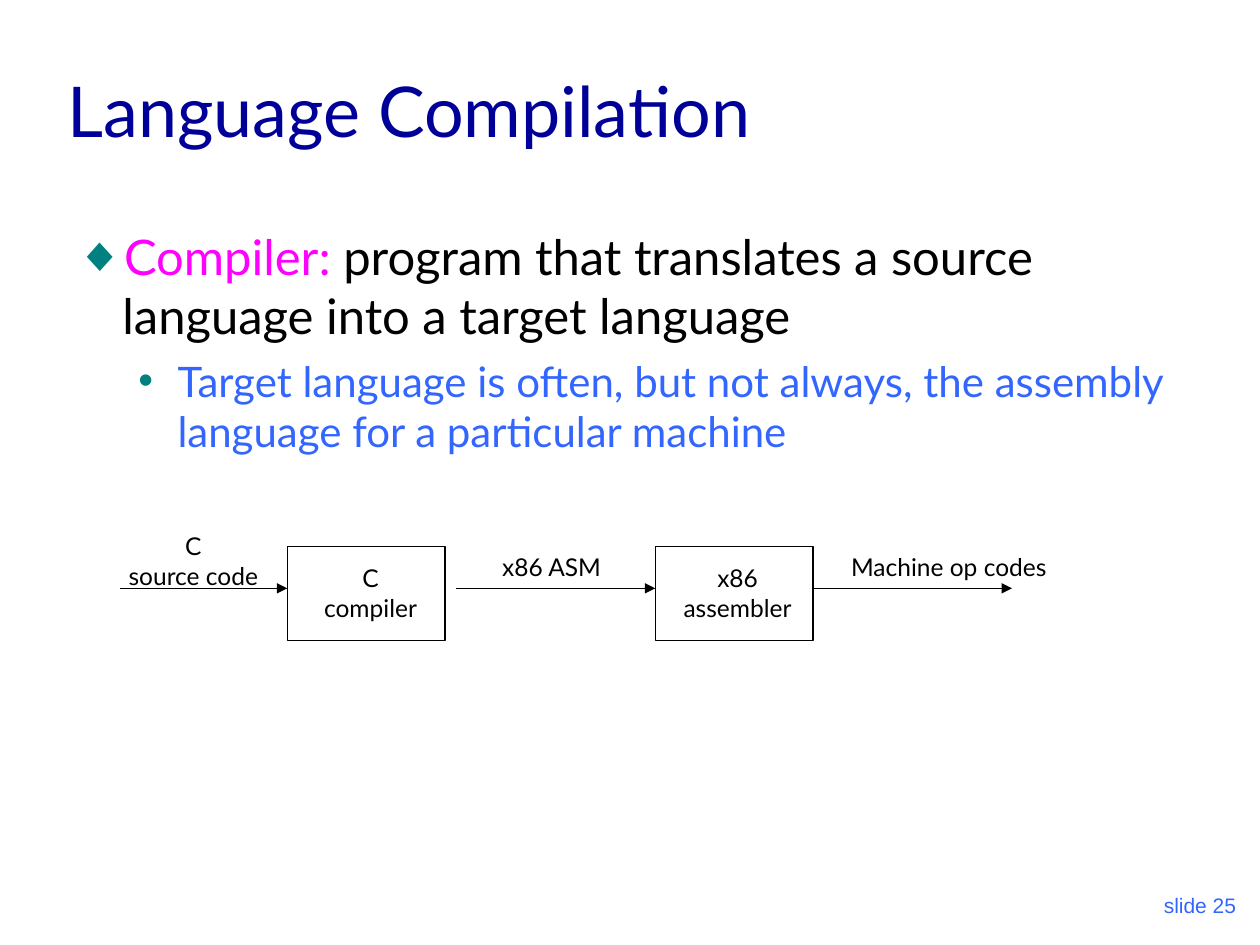
from lxml import etree
from pptx import Presentation
from pptx import util as u
from pptx.dml.color import RGBColor
from pptx.enum import shapes, text
from pptx.oxml.ns import qn

BLACK, NAVY, BLUE, MAGENTA, TEAL = "000000", "000099", "3366FF", "FF00FF", "008080"
LEFT, CENTER, RIGHT = text.PP_ALIGN.LEFT, text.PP_ALIGN.CENTER, text.PP_ALIGN.RIGHT

# Each paragraph is a list of (wording, colour) runs
TITLE = [[("Language Compilation", NAVY)]]
FOOTER = [[("slide 25", BLUE)]]
BULLETS = [
    # runs, size, bullet, text indent in cm, hanging in cm, space before
    ([("Compiler:", MAGENTA),
      (" program that translates a source language into a target language", BLACK)],
     28, "◆", 0.95, 0.95, 7),
    ([("Target language is often, but not always, the assembly language "
       "for a particular machine", BLUE)],
     24, "•", 2.06, 0.79, 6),
]

# Flow diagram, in cm
STAGE_TOP, STAGE_WIDTH, STAGE_HEIGHT = 11.02, 3.18, 1.9
STAGE_LEFTS = [5.79, 13.21]
ARROW_Y = 11.86
ARROWS = [(2.41, 5.79), (9.19, 13.21), (16.39, 20.4)]
LABELS = [  # lines, centre, top, width
    (["C", "compiler"], 7.47, 11.23, 2.8),
    (["C", "source code"], 3.9, 10.59, 3.6),
    (["x86", "assembler"], 14.87, 11.23, 3.2),
    (["x86 ASM"], 11.12, 11, 2.8),
    (["Machine op codes"], 19.13, 11, 4.9),
]
LABEL_LINE, LABEL_PADDING = 0.59, 0.27


def color(value):
    return RGBColor.from_string(value)


def add_text(slide, place, paragraphs, size, font="Lato", align=LEFT,
             anchor=text.MSO_ANCHOR.TOP, wrap=True):
    box = slide.shapes.add_textbox(*(u.Cm(length) for length in place))
    frame = box.text_frame
    frame.word_wrap = wrap
    frame.vertical_anchor = anchor
    for index, runs in enumerate(paragraphs):
        para = frame.paragraphs[0] if index == 0 else frame.add_paragraph()
        para.alignment = align
        for wording, value in runs:
            span = para.add_run()
            span.text = wording
            span.font.size = u.Pt(size)
            span.font.name = font
            span.font.color.rgb = color(value)
    return frame


def set_bullet(para, mark, indent, hanging):
    props = para._p.get_or_add_pPr()
    props.set("marL", str(u.Cm(indent)))
    props.set("indent", str(-u.Cm(hanging)))
    tint = etree.SubElement(props, qn("a:buClr"))
    etree.SubElement(tint, qn("a:srgbClr"), val=TEAL)
    etree.SubElement(props, qn("a:buFont"), typeface="Arial")
    etree.SubElement(props, qn("a:buChar"), char=mark)


def add_bullets(slide, place):
    frame = add_text(slide, place, [item[0] for item in BULLETS], 28)
    for level, (para, item) in enumerate(zip(frame.paragraphs, BULLETS)):
        _, size, mark, indent, hanging, before = item
        para.level = level
        para.space_before = u.Pt(before)
        for span in para.runs:
            span.font.size = u.Pt(size)
        set_bullet(para, mark, indent, hanging)


def add_stage(slide, left):
    stage = slide.shapes.add_shape(
        shapes.MSO_SHAPE.RECTANGLE, u.Cm(left), u.Cm(STAGE_TOP),
        u.Cm(STAGE_WIDTH), u.Cm(STAGE_HEIGHT))
    stage.shadow.inherit = False
    stage.fill.background()
    stage.line.color.rgb = color(BLACK)
    stage.line.width = u.Pt(0.75)


def add_arrow(slide, start, end):
    arrow = slide.shapes.add_connector(
        shapes.MSO_CONNECTOR.STRAIGHT, u.Cm(start), u.Cm(ARROW_Y),
        u.Cm(end), u.Cm(ARROW_Y))
    arrow.line.color.rgb = color(BLACK)
    arrow.line.width = u.Pt(0.75)
    etree.SubElement(arrow.line._get_or_add_ln(), qn("a:tailEnd"), type="triangle")
    etree.SubElement(arrow._element.spPr, qn("a:effectLst"))


def add_label(slide, lines, center, top, width):
    height = LABEL_PADDING + LABEL_LINE * len(lines)
    frame = add_text(slide, (center - width / 2, top, width, height),
                     [[(line, BLACK)] for line in lines], 14,
                     align=CENTER, wrap=False)
    frame.auto_size = text.MSO_AUTO_SIZE.SHAPE_TO_FIT_TEXT


def main():
    deck = Presentation()
    deck.slide_width, deck.slide_height = u.Cm(25.4), u.Cm(19.05)
    slide = deck.slides.add_slide(deck.slide_layouts[6])
    bottom = text.MSO_ANCHOR.BOTTOM
    add_text(slide, (19.89, 17.35, 5.28, 1.27), FOOTER, 12, "Arial", RIGHT, bottom)
    add_text(slide, (1.12, 0.64, 21.59, 2.54), TITLE, 40, anchor=bottom)
    add_bullets(slide, (1.27, 4.45, 22.7, 12.4))
    for left in STAGE_LEFTS:
        add_stage(slide, left)
    for start, end in ARROWS:
        add_arrow(slide, start, end)
    for label in LABELS:
        add_label(slide, *label)
    deck.save("out.pptx")


if __name__ == "__main__":
    main()
